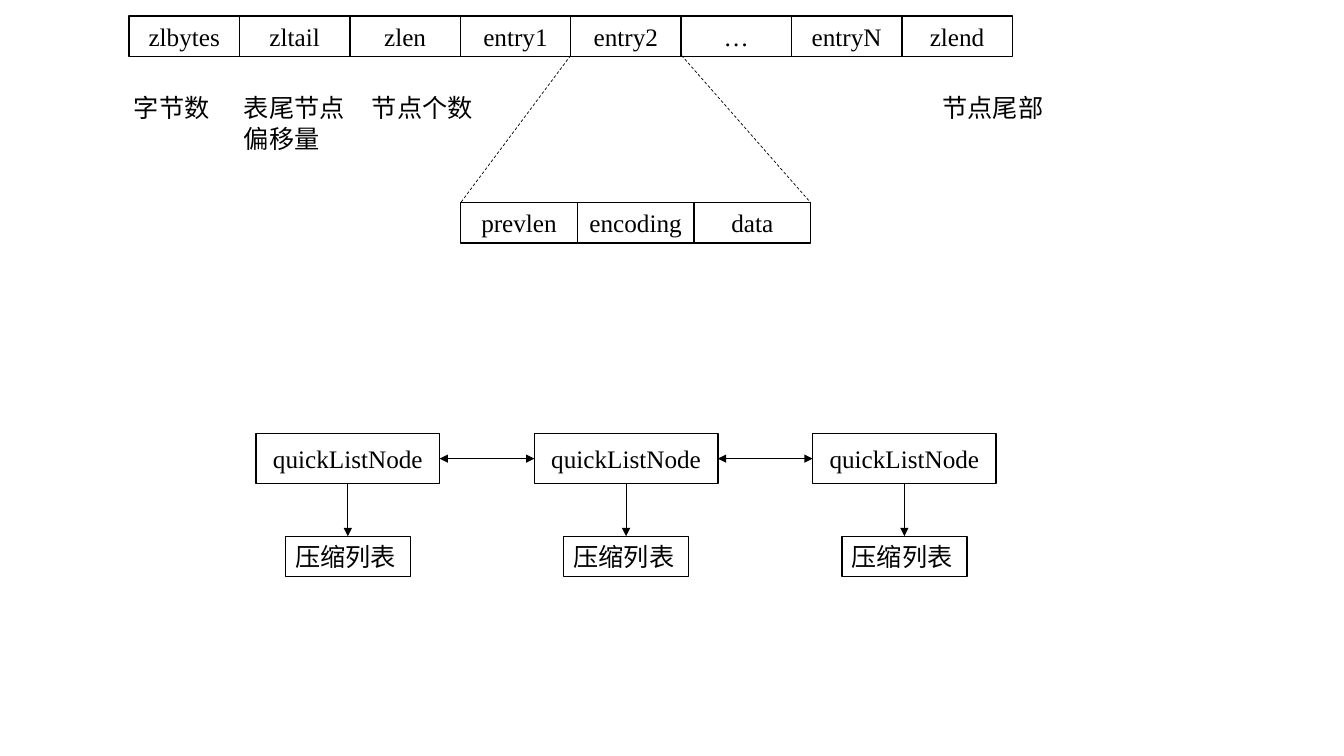
from typing import NamedTuple

from lxml.etree import SubElement
from pptx import Presentation
from pptx.dml.color import RGBColor
from pptx.enum.dml import MSO_LINE as Dash
from pptx.enum.shapes import MSO_CONNECTOR as Conn, MSO_SHAPE as Kind
from pptx.enum.text import MSO_ANCHOR as Anchor, MSO_AUTO_SIZE as Fit, PP_ALIGN as Align
from pptx.oxml.ns import qn
from pptx.util import Inches, Pt

LATIN, HAN = "Times New Roman", "Noto Sans CJK SC"
BLACK, WHITE = "000000", "FFFFFF"


class Box(NamedTuple):
    text: str
    left: float
    top: float
    width: float
    height: float = 0.4
    han: bool = False
    frame: bool = True


class Link(NamedTuple):
    x1: float
    y1: float
    x2: float
    y2: float
    dash: bool = False
    ends: tuple[str, ...] = ()


def color(code: str) -> RGBColor:
    return RGBColor.from_string(code)


def draw_box(box: Box) -> None:
    area = [Inches(n) for n in (box.left, box.top, box.width, box.height)]
    if box.frame:
        shape = slide.shapes.add_shape(Kind.RECTANGLE, *area)
        shape.shadow.inherit = False
        shape.fill.solid()
        shape.fill.fore_color.rgb = color(WHITE)
        shape.line.color.rgb = color(BLACK)
        shape.line.width = Pt(1)
    else:
        shape = slide.shapes.add_textbox(*area)
    frame = shape.text_frame
    frame.word_wrap = True
    para = frame.paragraphs[0]
    if box.han:
        frame.auto_size = Fit.SHAPE_TO_FIT_TEXT
        frame.vertical_anchor = Anchor.TOP
        para.alignment = Align.LEFT
        para.line_spacing = Pt(21.6)
    else:
        frame.vertical_anchor = Anchor.MIDDLE
        para.alignment = Align.CENTER
    run = para.add_run()
    run.text = box.text
    font = run.font
    font.size = Pt(18)
    font.color.rgb = color(BLACK)
    font.name = HAN if box.han else LATIN
    SubElement(run._r.get_or_add_rPr(), qn("a:ea"), typeface=font.name)


def draw_link(link: Link) -> None:
    ends = [Inches(n) for n in link[:4]]
    line = slide.shapes.add_connector(Conn.STRAIGHT, *ends)
    line.line.color.rgb = color(BLACK)
    line.line.width = Pt(0.5)
    if link.dash:
        line.line.dash_style = Dash.DASH
    for end in link.ends:
        SubElement(line.line._get_or_add_ln(), qn(f"a:{end}"), type="triangle")
    SubElement(line._element.spPr, qn("a:effectLst"))


def draw_row(names: list[str], left: float, right: float, top: float) -> None:
    """Split a span into equal adjoining cells."""
    step = (right - left) / len(names)
    for i, name in enumerate(names):
        draw_box(Box(name, left + i * step, top, step))


deck = Presentation()
deck.slide_width, deck.slide_height = Inches(13.33), Inches(7.5)
slide = deck.slides.add_slide(deck.slide_layouts[6])

# Ziplist fields
draw_row(["zlbytes", "zltail", "zlen", "entry1", "entry2", "…", "entryN", "zlend"],
         1.28, 10.04, 0.16)

# Field captions
for text, left, width, height in [
    ("字节数", 1.23, 1.03, 0.4),
    ("表尾节点偏移量", 2.32, 1.22, 0.71),
    ("节点个数", 3.59, 1.22, 0.4),
    ("节点尾部", 9.25, 1.22, 0.4),
]:
    draw_box(Box(text, left, 0.87, width, height, han=True, frame=False))

# Entry detail, opened out from entry2
draw_row(["prevlen", "encoding", "data"], 4.57, 8.04, 2.01)
draw_link(Link(5.66, 0.55, 4.57, 2.01, dash=True))
draw_link(Link(6.76, 0.55, 8.04, 2.01, dash=True))

# Quicklist nodes, each pointing to its ziplist
COUNT, FIRST, STEP = 3, 3.45, 2.76
NODE, LIST = 1.82, 1.24
for i in range(COUNT):
    mid = FIRST + i * STEP
    draw_box(Box("quickListNode", mid - NODE / 2, 4.3, NODE, 0.5))
    draw_box(Box("压缩列表", mid - LIST / 2, 5.32, LIST, han=True))
    draw_link(Link(mid, 4.8, mid, 5.32, ends=("tailEnd",)))
    if i < COUNT - 1:
        draw_link(Link(mid + NODE / 2, 4.55, mid + STEP - NODE / 2, 4.55,
                       ends=("headEnd", "tailEnd")))

deck.save("out.pptx")
